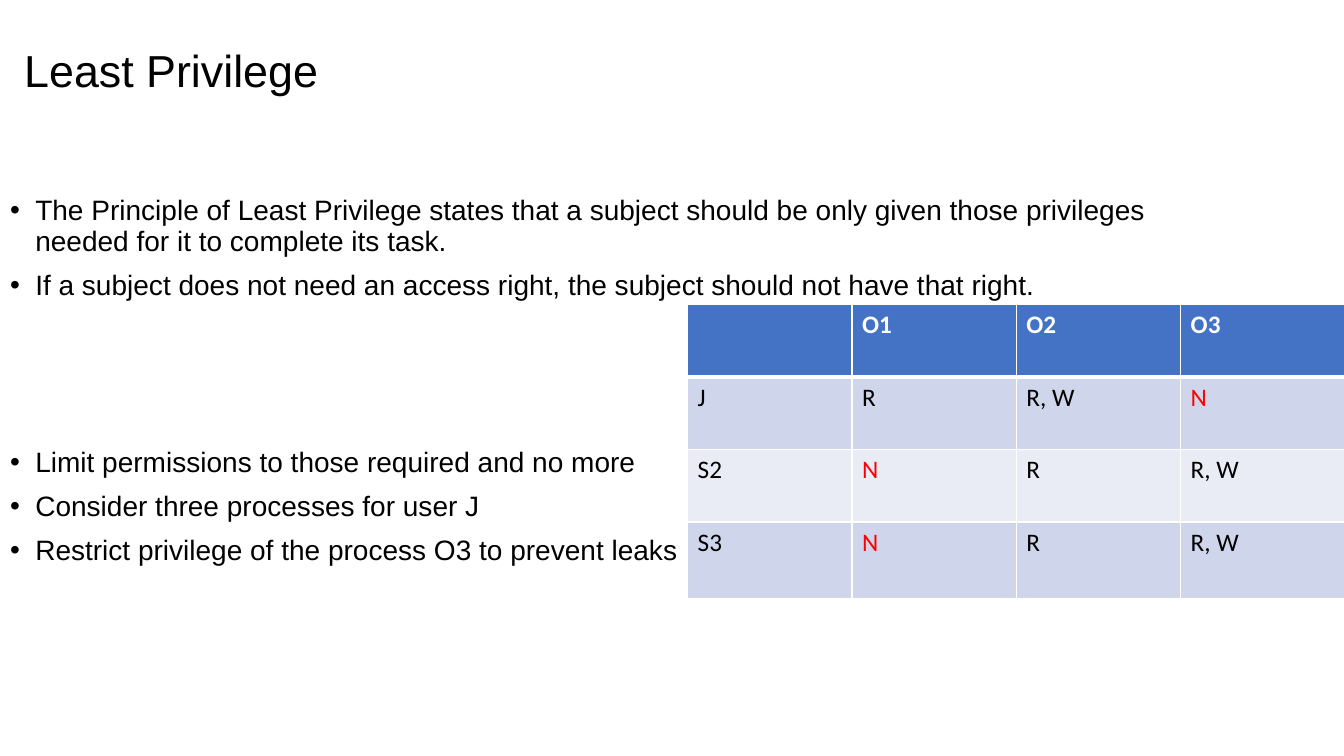
"""Build the Least Privilege slide with its bullet list and access matrix."""
from typing import NamedTuple

from lxml.etree import SubElement
from pptx import Presentation
from pptx.dml.color import RGBColor
from pptx.enum.text import MSO_ANCHOR, MSO_AUTO_SIZE, PP_ALIGN
from pptx.oxml.ns import qn
from pptx.slide import Slide
from pptx.table import _Cell as Cell
from pptx.text.text import _Paragraph as Paragraph
from pptx.util import Inches, Pt

BLACK = RGBColor(0x00, 0x00, 0x00)
WHITE = RGBColor(0xFF, 0xFF, 0xFF)
RED = RGBColor(0xFF, 0x00, 0x00)
HEADER_BLUE = RGBColor(0x44, 0x72, 0xC4)
BAND_DARK = RGBColor(0xCF, 0xD5, 0xEA)
BAND_LIGHT = RGBColor(0xE9, 0xEB, 0xF5)


class Bullet(NamedTuple):
    text: str
    space_before: float = 10


BULLETS = [
    Bullet("The Principle of Least Privilege states that a subject should be only given "
           "those privileges needed for it to complete its task.", 0),
    Bullet("If a subject does not need an access right, the subject should not have that right."),
    Bullet("Limit permissions to those required and no more", 105),
    Bullet("Consider three processes for user J"),
    Bullet("Restrict privilege of the process O3 to prevent leaks"),
]
ACCESS_MATRIX = [
    ["", "O1", "O2", "O3"],
    ["J", "R", "R, W", "N"],
    ["S2", "N", "R", "R, W"],
    ["S3", "N", "R", "R, W"],
]
ROW_HEIGHTS = [0.72, 0.72, 0.72, 0.76]
COLUMN_WIDTH = 1.63


def format_runs(paragraph: Paragraph, font_name: str, size: float,
                color: RGBColor, bold: bool = False) -> None:
    for run in paragraph.runs:
        run.font.name = font_name
        run.font.size = Pt(size)
        run.font.bold = bold
        run.font.color.rgb = color


def add_title(slide: Slide) -> None:
    title = slide.shapes.title
    title.left, title.top = Inches(0.14), Inches(0)
    title.width, title.height = Inches(11.5), Inches(1.45)
    title.text_frame.text = "Least Privilege"
    title.text_frame.vertical_anchor = MSO_ANCHOR.MIDDLE
    title.text_frame.auto_size = MSO_AUTO_SIZE.NONE
    paragraph = title.text_frame.paragraphs[0]
    paragraph.alignment = PP_ALIGN.LEFT
    paragraph.line_spacing = 0.9
    format_runs(paragraph, "Arial", 32, BLACK)


def add_bullets(slide: Slide) -> None:
    body = slide.placeholders[1]
    body.left, body.top = Inches(0), Inches(1.45)
    body.width, body.height = Inches(12.42), Inches(5.31)
    frame = body.text_frame
    frame.text = "\n".join(bullet.text for bullet in BULLETS)
    frame.auto_size = MSO_AUTO_SIZE.NONE
    frame.vertical_anchor = MSO_ANCHOR.TOP
    frame.margin_top = Inches(0.5)
    for paragraph, bullet in zip(frame.paragraphs, BULLETS):
        paragraph.line_spacing = 0.9
        paragraph.space_before = Pt(bullet.space_before)
        properties = paragraph._p.get_or_add_pPr()
        properties.set("marL", str(Inches(0.25)))
        properties.set("indent", str(Inches(-0.25)))
        SubElement(properties, qn("a:buFont"), typeface="Arial")
        SubElement(properties, qn("a:buChar"), char="•")
        format_runs(paragraph, "Arial", 20, BLACK)


def add_borders(cell: Cell, row_index: int) -> None:
    widths = {"L": 1, "R": 1, "T": 3 if row_index == 1 else 1, "B": 3 if row_index == 0 else 1}
    properties = cell._tc.get_or_add_tcPr()
    for side, width in widths.items():
        line = SubElement(properties, qn(f"a:ln{side}"), w=str(Pt(width)))
        fill = SubElement(line, qn("a:solidFill"))
        SubElement(fill, qn("a:srgbClr"), val=str(WHITE))


def add_access_matrix(slide: Slide) -> None:
    columns = len(ACCESS_MATRIX[0])
    table = slide.shapes.add_table(
        len(ACCESS_MATRIX), columns, Inches(6.82), Inches(3.02),
        Inches(COLUMN_WIDTH * columns), Inches(sum(ROW_HEIGHTS))).table
    for column in table.columns:
        column.width = Inches(COLUMN_WIDTH)
    row_fills = [HEADER_BLUE, BAND_DARK, BAND_LIGHT, BAND_DARK]
    for row_index, labels in enumerate(ACCESS_MATRIX):
        table.rows[row_index].height = Inches(ROW_HEIGHTS[row_index])
        is_header = row_index == 0
        for column_index, label in enumerate(labels):
            cell = table.cell(row_index, column_index)
            cell.text_frame.text = label
            add_borders(cell, row_index)
            cell.fill.solid()
            cell.fill.fore_color.rgb = row_fills[row_index]
            color = WHITE if is_header else RED if label == "N" else BLACK
            format_runs(cell.text_frame.paragraphs[0], "Calibri", 18, color, is_header)


def main() -> None:
    presentation = Presentation()
    presentation.slide_width, presentation.slide_height = Inches(13.33), Inches(7.5)
    slide = presentation.slides.add_slide(presentation.slide_layouts[1])
    add_title(slide)
    add_bullets(slide)
    add_access_matrix(slide)
    presentation.save("out.pptx")


if __name__ == "__main__":
    main()
